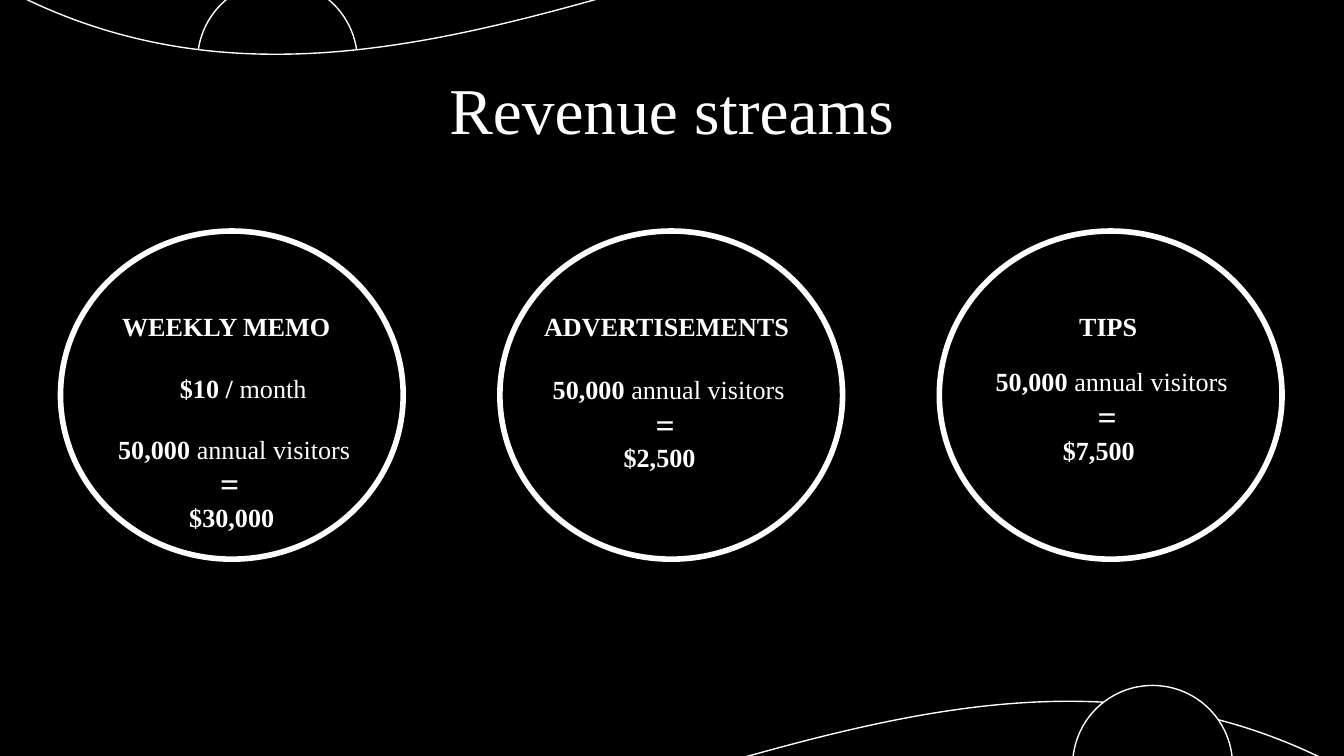
from pptx import Presentation
from pptx.dml.color import RGBColor
from pptx.enum.shapes import MSO_SHAPE
from pptx.enum.text import MSO_ANCHOR, MSO_AUTO_SIZE, PP_ALIGN
from pptx.util import Pt

OVAL, WAVE = MSO_SHAPE.OVAL, MSO_SHAPE.WAVE
MIDDLE, TOP = MSO_ANCHOR.MIDDLE, MSO_ANCHOR.TOP
LEFT, CENTER = PP_ALIGN.LEFT, PP_ALIGN.CENTER
GROW, FIXED = MSO_AUTO_SIZE.SHAPE_TO_FIT_TEXT, MSO_AUTO_SIZE.NONE

FONT = "Times New Roman"
BLACK, WHITE = "000000", "FFFFFF"

CIRCLE_LEFT, CIRCLE_PITCH, CIRCLE_TOP = 32.4, 235.4, 123.8
CIRCLE_WIDTH, CIRCLE_HEIGHT = 183.6, 175.8
HEADING_TOP, LINE_HEIGHT = 162.8, 24.3
VISITORS_WIDTH = 154
EQUALS_DROP, AMOUNT_DROP = 16.3, 36.7

# Each line of text is given by its left edge; widths follow where they differ.
STREAMS = [
    {"heading": ("WEEKLY MEMO", 58.3, 136), "visitors": (56.2, 228.4),
     "equals": 110.9, "amount": ("$30,000", 94.3, 60.5)},
    {"heading": ("ADVERTISEMENTS", 284.4, 151.2), "visitors": (289, 196.4),
     "equals": 344.2, "amount": ("$2,500", 327, 60.5)},
    {"heading": ("TIPS", 571, 49.7), "visitors": (526.3, 192.2),
     "equals": 581, "amount": ("$7,500", 562.3, 81.4)},
]


def color(hex_value):
    return RGBColor.from_string(hex_value)


def points(*lengths):
    return [Pt(length) for length in lengths]


def add_outline(slide, preset, box, line_width, fill=None):
    """White-lined preset shape, see-through unless a fill is given."""
    outline = slide.shapes.add_shape(preset, *points(*box))
    outline.shadow.inherit = False
    if fill:
        outline.fill.solid()
        outline.fill.fore_color.rgb = color(fill)
    else:
        outline.fill.background()
    outline.line.color.rgb = color(WHITE)
    outline.line.width = Pt(line_width)
    return outline


def add_text(slide, box, runs, size=14, align=LEFT, anchor=TOP,
             auto_size=GROW, inset=3.6):
    """One paragraph of (text, bold) runs."""
    frame = slide.shapes.add_textbox(*points(*box)).text_frame
    frame_format = {
        "word_wrap": True, "auto_size": auto_size, "vertical_anchor": anchor,
        "margin_top": Pt(inset), "margin_bottom": Pt(inset),
    }
    for name, value in frame_format.items():
        setattr(frame, name, value)
    paragraph = frame.paragraphs[0]
    paragraph.alignment = align
    for text, bold in runs:
        run = paragraph.add_run()
        run.text = text
        run.font.color.rgb = color(WHITE)
        for name, value in {"name": FONT, "size": Pt(size), "bold": bold}.items():
            setattr(run.font, name, value)


def add_backdrop(slide):
    slide.background.fill.solid()
    slide.background.fill.fore_color.rgb = color(BLACK)
    add_outline(slide, OVAL, (105.8, -10.1, 85.7, 85.7), 0.75, BLACK)
    wave = add_outline(slide, WAVE, (-7.9, -54.7, 735.8, 514.1), 0.75, BLACK)
    wave.adjustments[0] = 0.083
    wave.adjustments[1] = 0
    wave.rotation = 180
    wave.element.spPr.xfrm.set("flipH", "1")
    add_outline(slide, OVAL, (574.6, 367.2, 85.7, 85.7), 0.75, BLACK)


def add_stream(slide, stream):
    heading, heading_left, heading_width = stream["heading"]
    visitors_left, visitors_top = stream["visitors"]
    amount, amount_left, amount_width = stream["amount"]
    add_text(slide, (heading_left, HEADING_TOP, heading_width, LINE_HEIGHT),
             [(heading, True)])
    add_text(slide, (visitors_left, visitors_top, VISITORS_WIDTH, LINE_HEIGHT),
             [("50,000 ", True), ("annual visitors", False)])
    add_text(slide, (stream["equals"], visitors_top + EQUALS_DROP, 21.6, 29),
             [("=", True)], size=18, align=CENTER)
    add_text(slide, (amount_left, visitors_top + AMOUNT_DROP, amount_width, LINE_HEIGHT),
             [(amount, True)])


def main():
    deck = Presentation()
    deck.slide_width, deck.slide_height = points(720, 405)
    slide = deck.slides.add_slide(deck.slide_layouts[6])
    add_backdrop(slide)
    add_text(slide, (56.7, 35.3, 606.6, 45.4), [("Revenue streams", False)],
             size=35, align=CENTER, anchor=MIDDLE, auto_size=FIXED, inset=7.2)
    for column, stream in enumerate(STREAMS):
        circle_left = CIRCLE_LEFT + column * CIRCLE_PITCH
        add_outline(slide, OVAL, (circle_left, CIRCLE_TOP, CIRCLE_WIDTH, CIRCLE_HEIGHT), 3)
        add_stream(slide, stream)
    add_text(slide, (89.3, 195.8, 85.7, LINE_HEIGHT),
             [("$10 / ", True), ("month", False)])
    deck.save("out.pptx")


if __name__ == "__main__":
    main()
